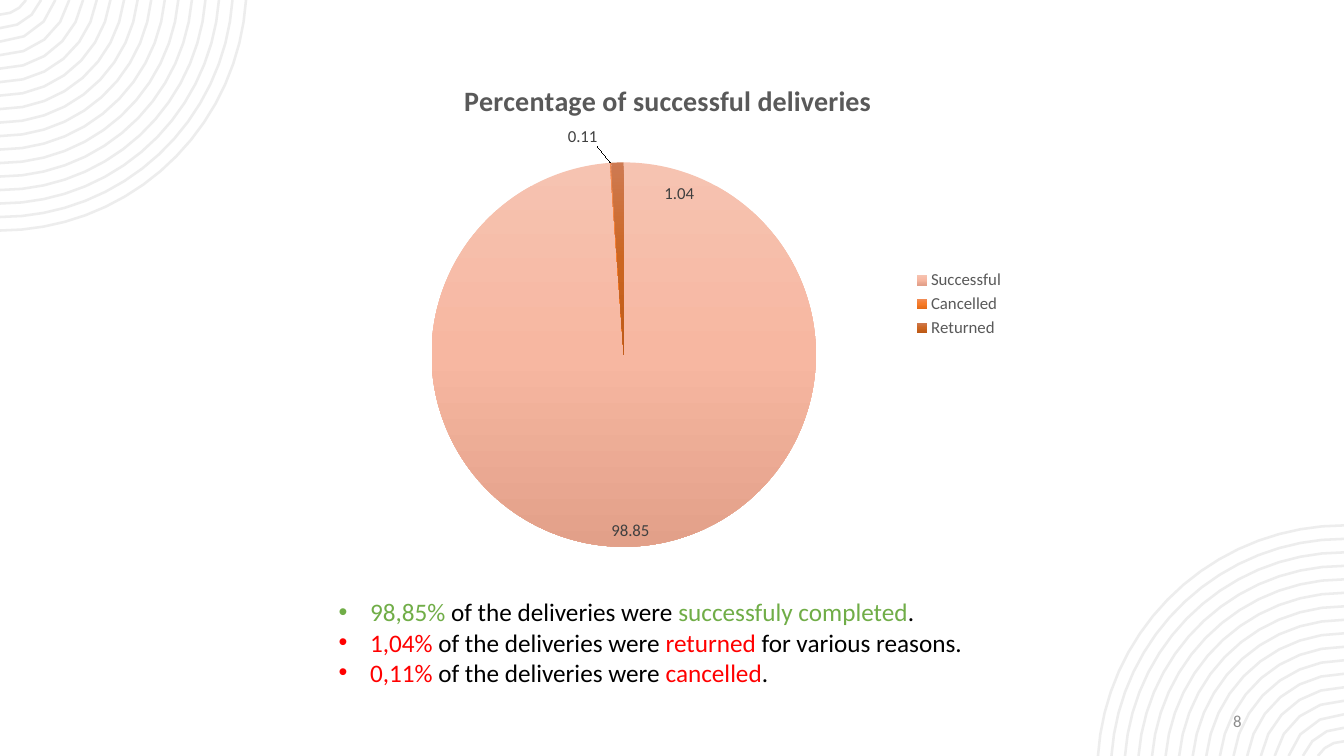
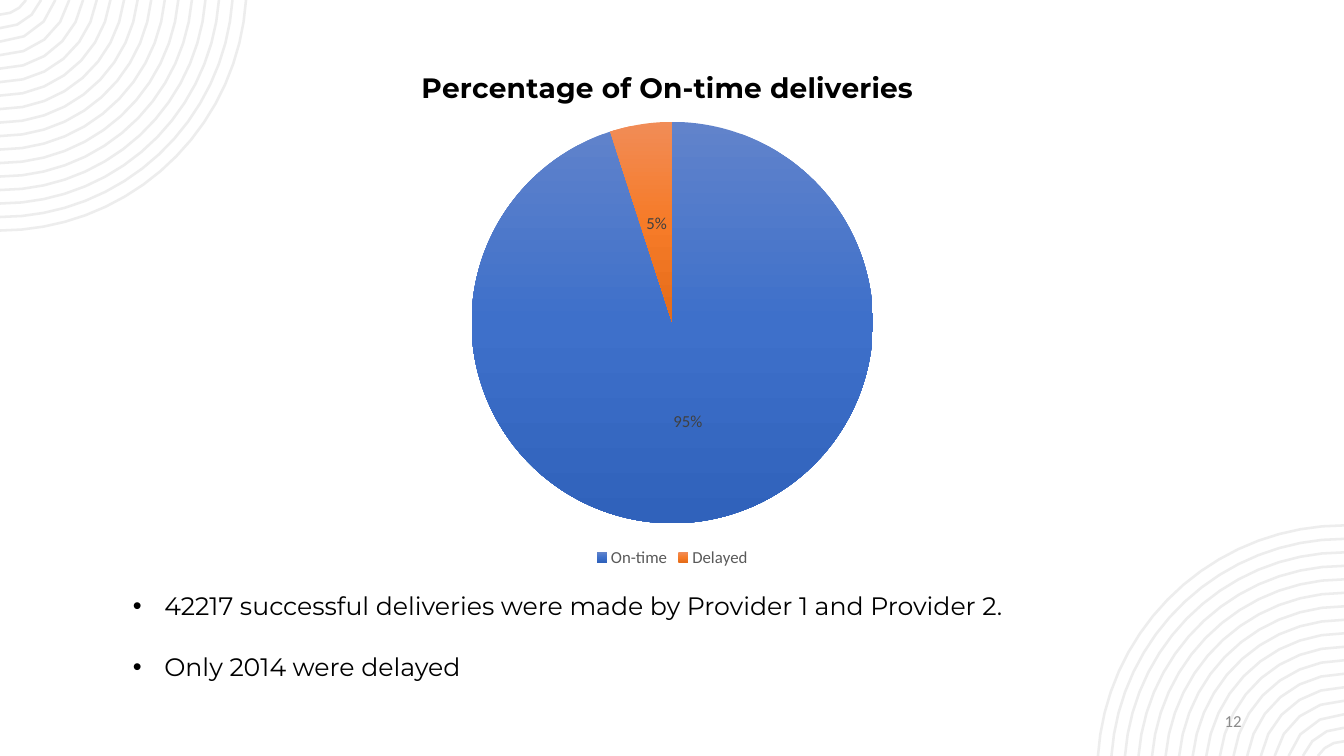
from math import asin, cos, pi, sin

from lxml.etree import SubElement
from pptx import Presentation
from pptx.chart.data import CategoryChartData
from pptx.dml.color import RGBColor
from pptx.enum.chart import XL_CHART_TYPE, XL_LABEL_POSITION, XL_LEGEND_POSITION
from pptx.enum.text import MSO_ANCHOR, PP_ALIGN
from pptx.oxml import parse_xml
from pptx.oxml.ns import nsdecls, qn
from pptx.util import Pt

WIDTH, HEIGHT = 960, 540
BLACK = RGBColor(0x00, 0x00, 0x00)
GREEN = RGBColor(0x70, 0xAD, 0x47)
RED = RGBColor(0xFF, 0x00, 0x00)
RING_GREY = RGBColor(0xED, 0xED, 0xED)
NUMBER_GREY = RGBColor(0x8C, 0x8C, 0x8C)
TEXT_GREY = RGBColor(0x59, 0x59, 0x59)
LABEL_GREY = RGBColor(0x40, 0x40, 0x40)


def shades(*codes):
    return [RGBColor.from_string(code) for code in codes]


PEACH = shades("F6C3B1", "F7B7A1", "E2A089")
ORANGE = shades("F18C57", "F67B28", "E56C19")
RUST = shades("CE7A52", "CC6621", "BC5916")
BLUE = shades("6183CB", "3E70CA", "3062BB")

BODY_FONT = "Calibri"
SMALL, BODY, TITLE = 12, 18, 20

RING_COUNT, RING_STEP, RING_WIDTH = 17, 9.64, 1.8
RING_RADIUS, RING_OFFSET, ARC_STEP_LENGTH = 176.1, 11.4, 16

SLIDES = [
    {
        "number": "8",
        "title": ("Percentage of successful deliveries", BODY_FONT, TEXT_GREY),
        "title_at": (0.19, 0.05),
        "chart_box": (234.7, 36, 490.3, 362.2),
        "plot_at": (0.15, 0.22, 0.56, 0.76),
        "legend": XL_LEGEND_POSITION.RIGHT,
        "slices": [("Successful", 98.85, PEACH), ("Cancelled", 0.11, ORANGE), ("Returned", 1.04, RUST)],
        "percent": False,
        "label_position": XL_LABEL_POSITION.INSIDE_END,
        "moved_labels": [
            (1, XL_LABEL_POSITION.OUTSIDE_END, (-0.04, -0.02)),
            (2, XL_LABEL_POSITION.INSIDE_END, (0.09, 0.03)),
        ],
        "text_box": (234.7, 422.6, 527, 72.7),
        "text_font": BODY_FONT,
        "align": PP_ALIGN.LEFT,
        "gap": 0,
        "bullets": [
            [("98,85% ", GREEN), ("of the deliveries were ", BLACK),
             ("successfuly completed", GREEN), (".", BLACK)],
            [("1,04% ", RED), ("of the deliveries were ", BLACK),
             ("returned", RED), (" for various reasons.", BLACK)],
            [("0,11% ", RED), ("of the deliveries were ", BLACK),
             ("cancelled", RED), (".", BLACK)],
        ],
    },
    {
        "number": "12",
        "title": ("Percentage of On-time deliveries", "Montserrat", BLACK),
        "title_at": (0.21, 0.05),
        "chart_box": (164.9, 25.9, 630.7, 382.3),
        "plot_at": (0.27, 0.16, 0.46, 0.75),
        "legend": XL_LEGEND_POSITION.BOTTOM,
        "slices": [("On-time", 95, BLUE), ("Delayed", 5, ORANGE)],
        "percent": True,
        "label_position": XL_LABEL_POSITION.CENTER,
        "moved_labels": [],
        "text_box": (87.8, 418.3, 784, 72.7),
        "text_font": "Montserrat",
        "align": PP_ALIGN.JUSTIFY,
        "gap": 22,
        "bullets": [
            [("42217 successful deliveries were made by Provider 1 and Provider 2.", BLACK)],
            [("Only 2014 were delayed", BLACK)],
        ],
    },
]


def style(font, name, size, color, bold=False):
    font.name, font.size, font.bold = name, Pt(size), bold
    font.color.rgb = color


def add_span(para, text, *look):
    span = para.add_run()
    span.text = text
    style(span.font, *look)


def arc(radius):
    start = asin(RING_OFFSET / radius)
    steps = max(3, round(radius * (pi / 2 - start) / ARC_STEP_LENGTH))
    for step in range(steps + 1):
        angle = start + (pi / 2 - start) * step / steps
        yield radius * cos(angle), radius * sin(angle) - RING_OFFSET


def add_rings(page, corner_x, corner_y, direction):
    builder = None
    for index in range(RING_COUNT):
        points = [
            (Pt(corner_x + direction * x), Pt(corner_y + direction * y))
            for x, y in arc(RING_RADIUS - index * RING_STEP)
        ]
        if builder is None:
            builder = page.shapes.build_freeform(*points[0])
        else:
            builder.move_to(*points[0])
        builder.add_line_segments(points[1:], close=False)
    rings = builder.convert_to_shape()
    rings.shadow.inherit = False
    rings.fill.background()
    rings.line.color.rgb = RING_GREY
    rings.line.width = Pt(RING_WIDTH)
    return rings


def decorate_layout(layout, page):
    for placeholder in list(layout.placeholders):
        layout.shapes.element.remove(placeholder.element)
    corners = [add_rings(page, 0, 0, 1), add_rings(page, WIDTH, HEIGHT, -1)]
    for rings in corners:
        layout.shapes.element.append(rings.element)


def add_box(page, box):
    frame = page.shapes.add_textbox(*map(Pt, box)).text_frame
    frame.word_wrap = True
    return frame


def add_number(page, number):
    frame = add_box(page, (678, 500.4, 216, 28.8))
    frame.vertical_anchor = MSO_ANCHOR.MIDDLE
    para = frame.paragraphs[0]
    para.alignment = PP_ALIGN.RIGHT
    add_span(para, number, BODY_FONT, SMALL, NUMBER_GREY)


def add_bullets(page, content):
    frame = add_box(page, content["text_box"])
    for index, spans in enumerate(content["bullets"]):
        para = frame.add_paragraph() if index else frame.paragraphs[0]
        para.alignment = content["align"]
        if index:
            para.space_before = Pt(content["gap"])
        properties = para._p.get_or_add_pPr()
        properties.set("marL", str(Pt(22.5)))
        properties.set("indent", str(Pt(-22.5)))
        SubElement(properties, qn("a:buFont"), typeface="Arial")
        SubElement(properties, qn("a:buChar"), char="•")
        for text, color in spans:
            add_span(para, text, content["text_font"], BODY, color)


def set_layout(parent, index, values, inner=False):
    for old in parent.findall(qn("c:layout")):
        parent.remove(old)
    layout = parse_xml(f"<c:layout {nsdecls('c')}><c:manualLayout/></c:layout>")
    manual = layout[0]
    if inner:
        SubElement(manual, qn("c:layoutTarget"), val="inner")
    if parent.tag != qn("c:dLbl"):
        for tag in ("c:xMode", "c:yMode"):
            SubElement(manual, qn(tag), val="edge")
    for tag, value in zip(("c:x", "c:y", "c:w", "c:h"), values):
        SubElement(manual, qn(tag), val=str(value))
    parent.insert(index, layout)


def gradient(colors):
    stops = "".join(
        f'<a:gs pos="{index * 50000}"><a:srgbClr val="{color}"/></a:gs>'
        for index, color in enumerate(colors)
    )
    return parse_xml(
        f'<a:gradFill {nsdecls("a")} rotWithShape="1"><a:gsLst>{stops}</a:gsLst>'
        '<a:lin ang="5400000" scaled="0"/></a:gradFill>'
    )


def add_pie(page, content):
    names, values, colors = zip(*content["slices"])
    data = CategoryChartData()
    data.categories = names
    data.add_series("Series 1", values)
    chart = page.shapes.add_chart(
        XL_CHART_TYPE.PIE, *map(Pt, content["chart_box"]), data
    ).chart
    style(chart.font, BODY_FONT, 10, BLACK)

    chart.has_title = True
    text, font_name, color = content["title"]
    add_span(chart.chart_title.text_frame.paragraphs[0], text, font_name, TITLE, color, True)

    chart.has_legend = True
    chart.legend.position = content["legend"]
    chart.legend.include_in_layout = False
    style(chart.legend.font, BODY_FONT, SMALL, TEXT_GREY)

    plot = chart.plots[0]
    plot.vary_by_categories = True
    series = plot.series[0]
    for index in range(len(values)):
        look = series.points[index].format
        look.fill.solid()
        look.line.fill.background()
    for properties, shade in zip(chart.element.xpath(".//c:dPt/c:spPr"), colors):
        properties.replace(properties.find(qn("a:solidFill")), gradient(shade))

    labels = series.data_labels
    labels.show_percentage = content["percent"]
    labels.show_value = not content["percent"]
    labels.number_format = "0%" if content["percent"] else "General"
    labels.number_format_is_linked = False
    labels.position = content["label_position"]
    style(labels.font, BODY_FONT, SMALL, LABEL_GREY)
    for index, position, _ in content["moved_labels"]:
        label = series.points[index].data_label
        style(label.font, BODY_FONT, SMALL, LABEL_GREY)
        label.position = position
    for element, (_, _, shift) in zip(chart.element.xpath(".//c:dLbl"), content["moved_labels"]):
        set_layout(element, 1, shift)

    set_layout(chart.element.xpath("c:chart/c:title")[0], 1, content["title_at"])
    set_layout(chart.element.xpath(".//c:plotArea")[0], 0, content["plot_at"], inner=True)


def main():
    deck = Presentation()
    deck.slide_width, deck.slide_height = Pt(WIDTH), Pt(HEIGHT)
    layout = deck.slide_layouts[6]
    pages = [deck.slides.add_slide(layout) for _ in SLIDES]
    decorate_layout(layout, pages[0])
    for page, content in zip(pages, SLIDES):
        add_number(page, content["number"])
        add_pie(page, content)
        add_bullets(page, content)
    deck.save("out.pptx")


if __name__ == "__main__":
    main()
